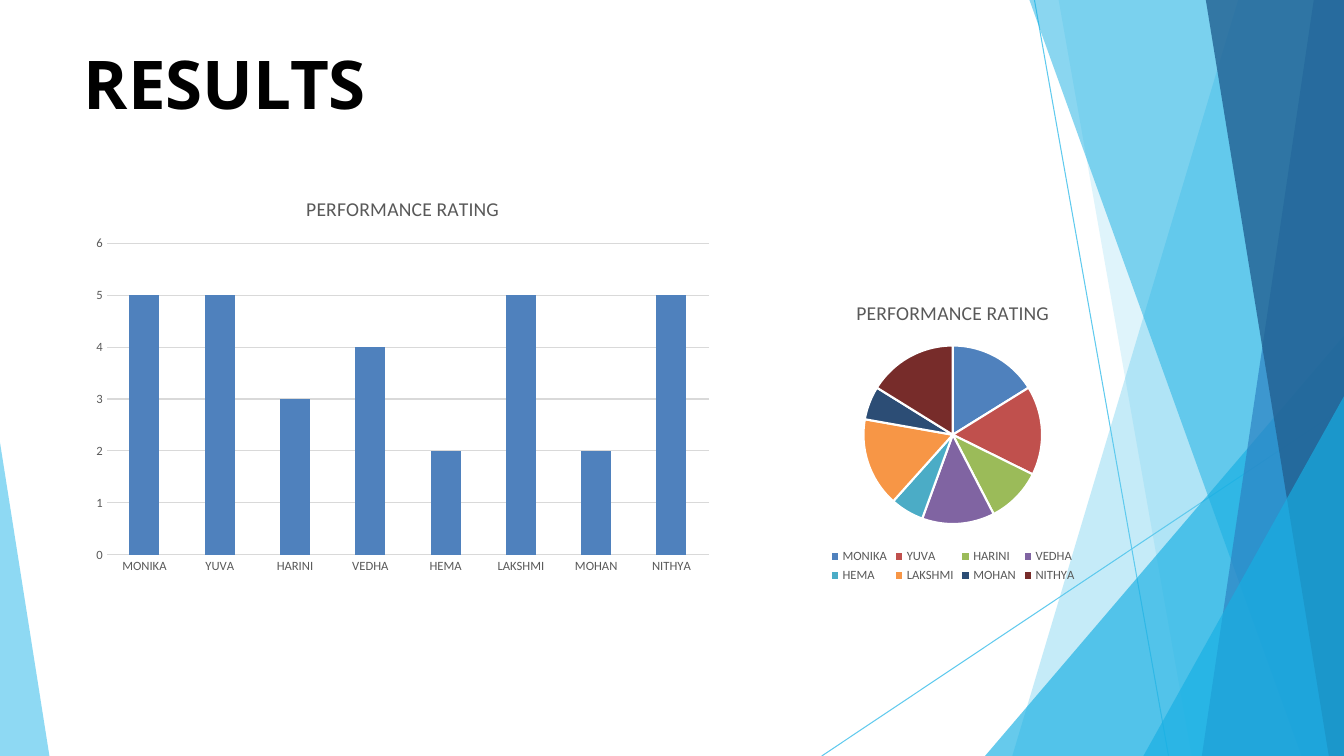
"""Builds a results slide with a column chart, a pie chart and a faceted border."""
from lxml import etree
from pptx import Presentation
from pptx import util as u
from pptx.chart.data import CategoryChartData
from pptx.dml.color import RGBColor
from pptx.enum import chart as charts, shapes, text
from pptx.oxml.ns import qn

BLACK = RGBColor(0x00, 0x00, 0x00)
WHITE = RGBColor(0xFF, 0xFF, 0xFF)
GREY = RGBColor(0x59, 0x59, 0x59)
GRID = RGBColor(0xD9, 0xD9, 0xD9)
SKY = RGBColor(0x5F, 0xCA, 0xEE)
CYAN = RGBColor(0x17, 0xAF, 0xE3)
BLUE = RGBColor(0x2D, 0x83, 0xC3)
NAVY = RGBColor(0x22, 0x61, 0x92)
SERIES_BLUE = RGBColor(0x4F, 0x81, 0xBD)
PIE_COLORS = [
    SERIES_BLUE,
    RGBColor(0xC0, 0x50, 0x4D),
    RGBColor(0x9B, 0xBB, 0x59),
    RGBColor(0x80, 0x64, 0xA2),
    RGBColor(0x4B, 0xAC, 0xC6),
    RGBColor(0xF7, 0x96, 0x46),
    RGBColor(0x2C, 0x4D, 0x75),
    RGBColor(0x77, 0x2C, 0x2A),
]

WIDTH, HEIGHT = 13.33, 7.5
MARGIN = 0.83
NAMES = ["MONIKA", "YUVA", "HARINI", "VEDHA", "HEMA", "LAKSHMI", "MOHAN", "NITHYA"]
RATINGS = [5, 5, 3, 4, 2, 5, 2, 5]
SHARES = [16, 16, 10, 13, 6, 16, 6, 16]
CHART_TITLE = "PERFORMANCE RATING"

RAYS = [((10.26, 0), (11.59, HEIGHT)), ((WIDTH, 4.04), (8.15, HEIGHT))]


def right_facet(top_left, bottom_left, top=0):
    """Return the corners of a facet that touches the right and bottom edges."""
    corners = [(WIDTH, top), (top_left, top), (bottom_left, HEIGHT), (WIDTH, HEIGHT)]
    return list(dict.fromkeys(corners))


FACETS = [
    (right_facet(12.28, 10.04), SKY, 36),
    (right_facet(10.5, 11.82), SKY, 20),
    (right_facet(WIDTH, 9.77, 3.33), CYAN, 66),
    (right_facet(10.21, 12.91), CYAN, 50),
    (right_facet(13.03, 11.92), BLUE, 70),
    (right_facet(11.96, 13.18), NAVY, 80),
    (right_facet(WIDTH, 11.34, 3.93), CYAN, 66),
    ([(0, 4.39), (0, HEIGHT), (0.49, HEIGHT)], SKY, 70),
]


class SlideBuilder:
    """Holds the style and the current slide."""

    title_font = "Noto Sans"
    chart_font = "Calibri"

    def __init__(self, presentation):
        self.slide = presentation.slides.add_slide(presentation.slide_layouts[5])

    def style_font(self, font, name, size, color, bold=False):
        font.name = name
        font.size = u.Pt(size)
        font.color.rgb = color
        font.bold = bold

    def title(self, wording, left, top, width, height):
        shape = self.slide.shapes.title
        shape.left, shape.top = u.Inches(left), u.Inches(top)
        shape.width, shape.height = u.Inches(width), u.Inches(height)
        frame = shape.text_frame
        frame.margin_left = frame.margin_right = 0
        frame.margin_top = frame.margin_bottom = 0
        frame.vertical_anchor = text.MSO_ANCHOR.TOP
        frame.auto_size = text.MSO_AUTO_SIZE.SHAPE_TO_FIT_TEXT
        paragraph = frame.paragraphs[0]
        paragraph.alignment = text.PP_ALIGN.LEFT
        run = paragraph.add_run()
        run.text = wording
        self.style_font(run.font, self.title_font, 48, BLACK, bold=True)

    def ray(self, start, end):
        ends = [u.Inches(value) for value in (*start, *end)]
        connector = self.slide.shapes.add_connector(shapes.MSO_CONNECTOR.STRAIGHT, *ends)
        connector.line.color.rgb = SKY
        connector.line.width = u.Pt(0.75)
        etree.SubElement(connector.element.spPr, qn("a:effectLst"))

    def facet(self, corners, color, opacity):
        points = [(u.Inches(x), u.Inches(y)) for x, y in corners]
        builder = self.slide.shapes.build_freeform(*points[0])
        builder.add_line_segments(points[1:], close=True)
        shape = builder.convert_to_shape()
        shape.shadow.inherit = False
        shape.fill.solid()
        shape.fill.fore_color.rgb = color
        shape.line.fill.background()
        fill_color = next(shape.element.spPr.iter(qn("a:srgbClr")))
        etree.SubElement(fill_color, qn("a:alpha"), val=str(opacity * 1000))

    def chart(self, kind, values, left, top, width, height):
        data = CategoryChartData()
        data.categories = NAMES
        data.add_series(CHART_TITLE, values)
        box = [u.Inches(value) for value in (left, top, width, height)]
        chart = self.slide.shapes.add_chart(kind, *box, data).chart
        self.style_font(chart.font, self.chart_font, 10, BLACK)
        chart.has_title = True
        run = chart.chart_title.text_frame.paragraphs[0].add_run()
        run.text = CHART_TITLE
        self.style_font(run.font, self.chart_font, 14, GREY)
        chart.chart_title.include_in_layout = False
        return chart

    def column_chart(self, values, *box):
        chart = self.chart(charts.XL_CHART_TYPE.COLUMN_CLUSTERED, values, *box)
        chart.has_legend = False
        plot = chart.plots[0]
        plot.gap_width = 150
        plot.vary_by_categories = False
        fill = plot.series[0].format.fill
        fill.solid()
        fill.fore_color.rgb = SERIES_BLUE
        for axis in (chart.category_axis, chart.value_axis):
            axis.major_tick_mark = axis.minor_tick_mark = charts.XL_TICK_MARK.NONE
            axis.format.line.fill.background()
            self.style_font(axis.tick_labels.font, self.chart_font, 9, GREY)
        value_axis = chart.value_axis
        value_axis.minimum_scale, value_axis.maximum_scale = 0, 6
        value_axis.major_unit = 1
        value_axis.has_major_gridlines = True
        value_axis.major_gridlines.format.line.color.rgb = GRID
        value_axis.major_gridlines.format.line.width = u.Pt(0.75)

    def pie_chart(self, values, *box):
        chart = self.chart(charts.XL_CHART_TYPE.PIE, values, *box)
        chart.has_legend = True
        chart.legend.position = charts.XL_LEGEND_POSITION.BOTTOM
        chart.legend.include_in_layout = False
        self.style_font(chart.legend.font, self.chart_font, 9, GREY)
        plot = chart.plots[0]
        plot.vary_by_categories = True
        for index, color in enumerate(PIE_COLORS):
            slice_format = plot.series[0].points[index].format
            slice_format.fill.solid()
            slice_format.fill.fore_color.rgb = color
            slice_format.line.color.rgb = WHITE
            slice_format.line.width = u.Pt(1.5)


def main():
    presentation = Presentation()
    presentation.slide_width = u.Inches(WIDTH)
    presentation.slide_height = u.Inches(HEIGHT)
    builder = SlideBuilder(presentation)
    for start, end in RAYS:
        builder.ray(start, end)
    for corners, color, opacity in FACETS:
        builder.facet(corners, color, opacity)
    builder.title("RESULTS", MARGIN, 0.42, 11.68, 0.83)
    builder.column_chart(RATINGS, MARGIN, 1.77, 6.33, 4)
    builder.pie_chart(SHARES, 6.95, 2.82, 5, 3)
    presentation.save("out.pptx")


if __name__ == "__main__":
    main()
